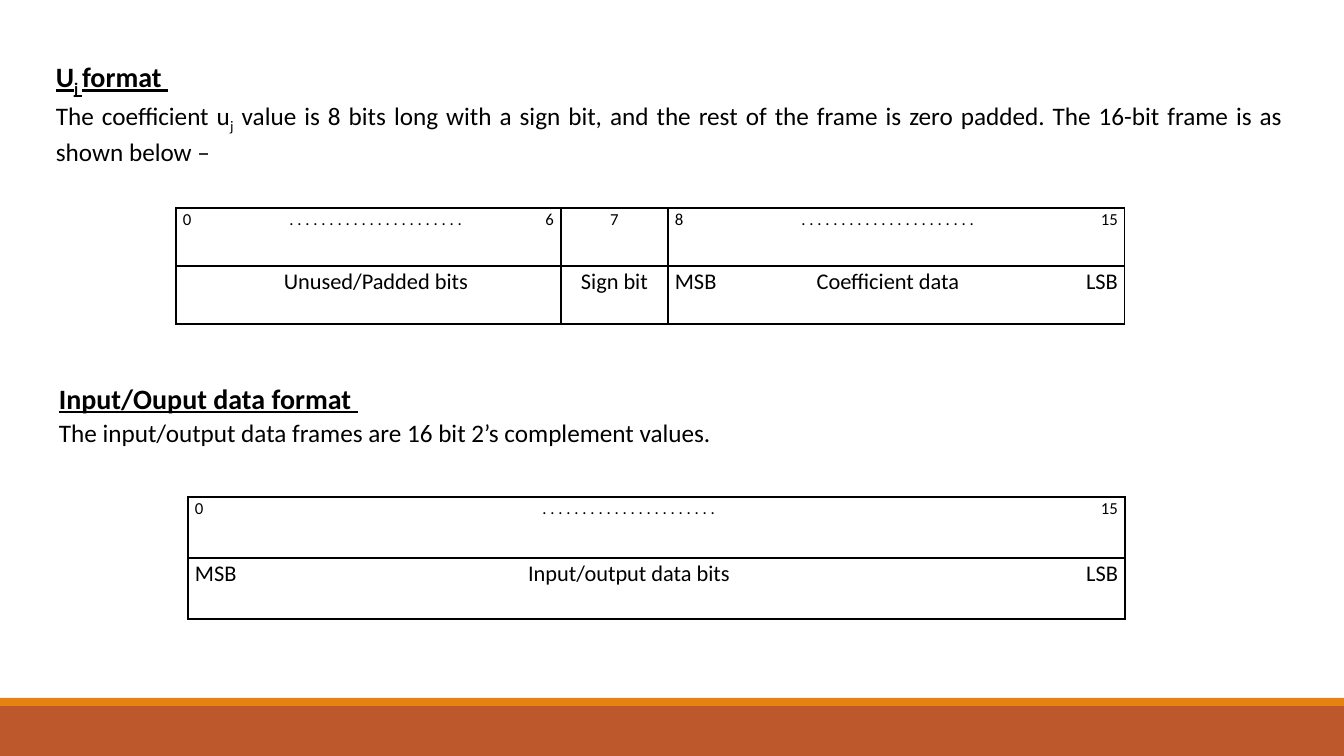
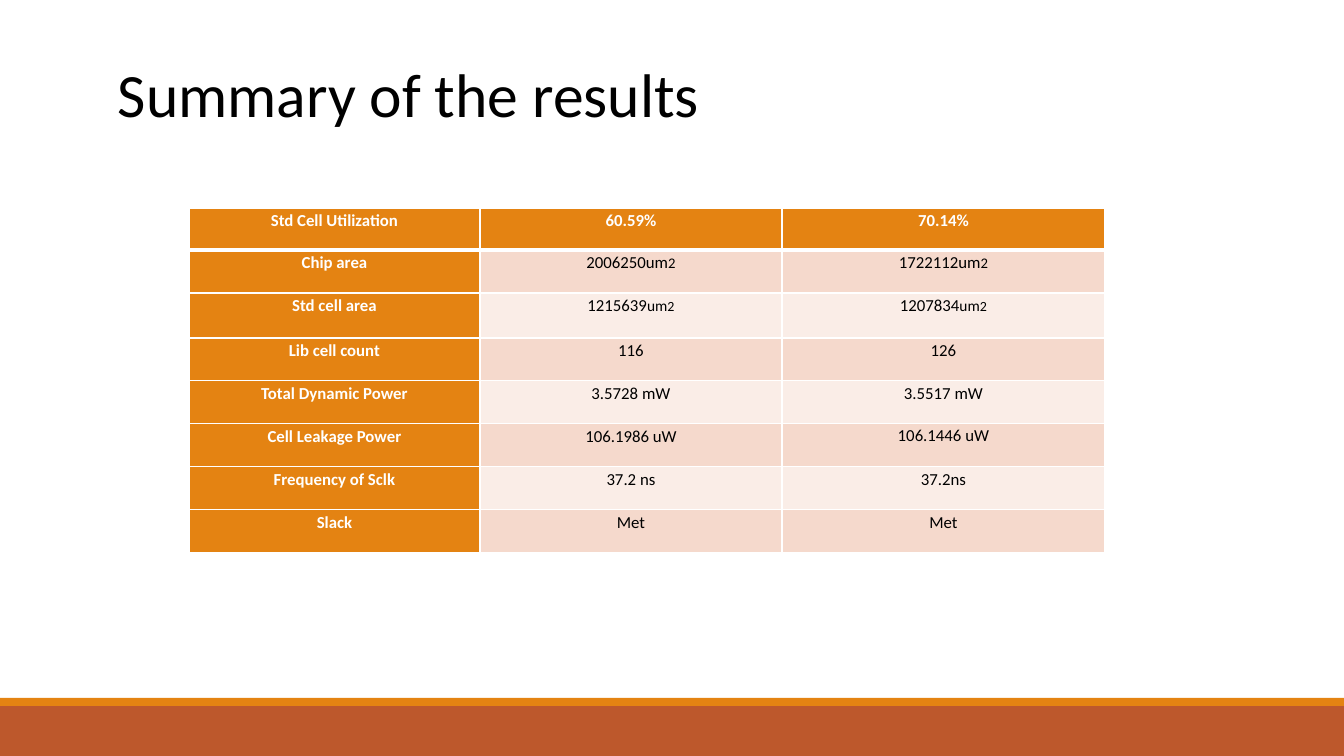
import lxml.etree
import pptx
import pptx.dml.color
import pptx.enum.shapes
import pptx.enum.text
import pptx.oxml.ns
import pptx.util

PX = 914400 / 100.8
FONT = "Calibri"
BLACK, WHITE = "000000", "FFFFFF"
ORANGE, RUST = "E48312", "BD582C"
DARK_BAND, LIGHT_BAND = "F5D9CC", "FAEDE7"
DOTS = ". . . . . . . . . . . . . . . . . . . . . ."
ALIGN = pptx.enum.text.PP_ALIGN
LEFT, CENTER, RIGHT, JUSTIFY = ALIGN.LEFT, ALIGN.CENTER, ALIGN.RIGHT, ALIGN.JUSTIFY


def color(value):
    return pptx.dml.color.RGBColor.from_string(value)


def write(paragraph, runs, alignment, spacing, ink=BLACK):
    paragraph.alignment = alignment
    paragraph.line_spacing = spacing
    for text, size, values in runs:
        run = paragraph.add_run()
        run.text = text
        font_values = {"name": FONT, "size": pptx.util.Pt(size), "bold": False}
        for name, value in (font_values | values).items():
            if name == "baseline":
                run._r.get_or_add_rPr().set("baseline", str(value))
            else:
                setattr(run.font, name, value)
        run.font.color.rgb = color(ink)


presentation = pptx.Presentation()
presentation.slide_width = round(1344 * PX)
presentation.slide_height = round(756 * PX)
format_slide, results_slide = [
    presentation.slides.add_slide(presentation.slide_layouts[6]) for _ in range(2)
]

for slide in (format_slide, results_slide):
    for top, height, fill in ((706, 50, RUST), (698, 8, ORANGE)):
        band = slide.shapes.add_shape(
            pptx.enum.shapes.MSO_SHAPE.RECTANGLE,
            0, round(top * PX), presentation.slide_width, round(height * PX),
        )
        band.shadow.inherit = False
        band.fill.solid()
        band.fill.fore_color.rgb = color(fill)
        band.line.fill.background()

heading = {"bold": True, "underline": True}
subscript = {"baseline": -25000}
middle = pptx.enum.text.MSO_ANCHOR.MIDDLE
top_anchor = pptx.enum.text.MSO_ANCHOR.TOP
texts = [
    (format_slide, (46, 52, 1247, 112), top_anchor, JUSTIFY, 1.07, [
        [("U", 20, heading), ("j ", 20, heading | subscript), ("format ", 20, heading)],
        [
            ("The coefficient u", 18, {}),
            ("j", 18, subscript),
            (" value is 8 bits long with a sign bit, and the rest of the frame is "
             "zero padded. The 16-bit frame is as shown below –", 18, {}),
        ],
    ]),
    (format_slide, (49, 374, 1244, 80), top_anchor, JUSTIFY, 1.07, [
        [("Input/Ouput data format ", 20, heading)],
        [("The input/output data frames are 16 bit 2’s complement values.", 18, {})],
    ]),
    (results_slide, (108, 50, 608, 85), middle, LEFT, 1.0, [
        [("Summary of the results", 44, {})],
    ]),
]
for slide, box, anchor, alignment, spacing, paragraphs in texts:
    text_box = slide.shapes.add_textbox(*[round(length * PX) for length in box])
    frame = text_box.text_frame
    frame.word_wrap = True
    frame.vertical_anchor = anchor
    for index, runs in enumerate(paragraphs):
        paragraph = frame.add_paragraph() if index else frame.paragraphs[0]
        write(paragraph, runs, alignment, spacing)

results = [
    ["Std Cell Utilization", "60.59%", "70.14%"],
    ["Chip area", [("2006250um", 12), ("2", 10.5)], [("1722112um", 12), ("2", 10.5)]],
    ["Std cell area", [("1215639", 12), ("um", 11), ("2", 10)],
     [("1207834", 12), ("um", 11), ("2", 10)]],
    ["Lib cell count", "116", "126"],
    ["Total Dynamic Power", "3.5728 mW", "3.5517 mW"],
    ["Cell Leakage Power", "106.1986 uW", "106.1446 uW"],
    ["Frequency of Sclk", "37.2 ns", "37.2ns"],
    ["Slack", "Met", "Met"],
]
tables = [
    {
        "slide": format_slide, "at": (176, 208), "banded": False,
        "columns": [63, 274, 48, 107, 83, 274, 100], "heights": [58, 58],
        "edges": {0, 3, 4, 7}, "sizes": [12, 16], "spacing": 1.07,
        "alignments": [LEFT, CENTER, RIGHT, CENTER, LEFT, CENTER, RIGHT],
        "cells": [
            ["0", DOTS, "6", "7", "8", DOTS, "15"],
            ["", "Unused/Padded bits", "", "Sign bit", "MSB", "Coefficient data", "LSB"],
        ],
    },
    {
        "slide": format_slide, "at": (188, 497), "banded": False,
        "columns": [189, 504, 244], "heights": [61, 61],
        "edges": {0, 3}, "sizes": [12, 16], "spacing": 1.07,
        "alignments": [LEFT, CENTER, RIGHT],
        "cells": [["0", DOTS, "15"], ["MSB", "Input/output data bits", "LSB"]],
    },
    {
        "slide": results_slide, "at": (189, 208), "banded": True,
        "columns": [291, 302, 323], "heights": [42, 43, 45, 43, 43, 43, 43, 43],
        "edges": {0, 1, 2, 3}, "sizes": [12] * len(results), "spacing": 1.15,
        "alignments": [CENTER] * 3,
        "cells": results,
    },
]
for layout in tables:
    columns, heights, banded = layout["columns"], layout["heights"], layout["banded"]
    bounds = (*layout["at"], sum(columns), sum(heights))
    table = layout["slide"].shapes.add_table(
        len(heights), len(columns), *[round(length * PX) for length in bounds]
    ).table
    table.first_row = table.horz_banding = False
    for column, width in zip(table.columns, columns):
        column.width = round(width * PX)
    for row_index, values in enumerate(layout["cells"]):
        table.rows[row_index].height = round(heights[row_index] * PX)
        for column_index, content in enumerate(values):
            cell = table.cell(row_index, column_index)
            margins = {"margin_left": 7, "margin_right": 7, "margin_top": 0, "margin_bottom": 0}
            for name, value in margins.items():
                setattr(cell, name, round(value * PX))

            borders = {
                "lnL": column_index in layout["edges"],
                "lnR": column_index + 1 in layout["edges"],
                "lnT": True,
                "lnB": True,
            }
            for tag, visible in borders.items():
                header_rule = banded and (row_index, tag) in ((0, "lnB"), (1, "lnT"))
                line = lxml.etree.SubElement(
                    cell._tc.get_or_add_tcPr(), pptx.oxml.ns.qn(f"a:{tag}"),
                    w=str(pptx.util.Pt(3 if header_rule else 1)),
                )
                paint = "a:solidFill" if visible else "a:noFill"
                fill = lxml.etree.SubElement(line, pptx.oxml.ns.qn(paint))
                if visible:
                    lxml.etree.SubElement(
                        fill, pptx.oxml.ns.qn("a:srgbClr"), val=WHITE if banded else BLACK
                    )

            label = banded and (row_index == 0 or column_index == 0)
            if banded:
                cell.fill.solid()
                band_fill = DARK_BAND if row_index % 2 else LIGHT_BAND
                cell.fill.fore_color.rgb = color(ORANGE if label else band_fill)
            else:
                cell.fill.background()

            if content:
                parts = content
                if isinstance(content, str):
                    parts = [(content, layout["sizes"][row_index])]
                runs = [(text, size, {"bold": label}) for text, size in parts]
                spacing = 1.07 if content == "106.1446 uW" else layout["spacing"]
                write(
                    cell.text_frame.paragraphs[0], runs,
                    layout["alignments"][column_index], spacing, WHITE if label else BLACK,
                )

presentation.save("out.pptx")
